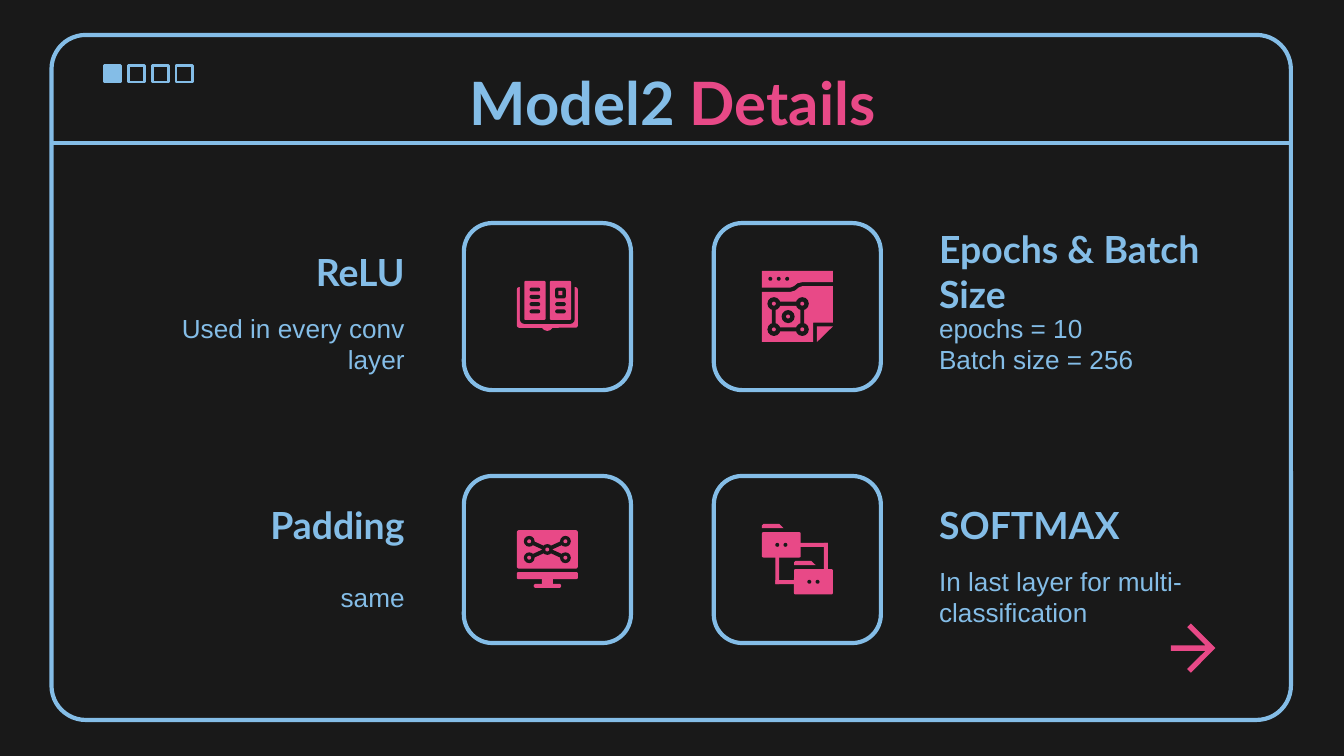
from dataclasses import dataclass
from itertools import product

from lxml.etree import SubElement
from pptx import Presentation
from pptx.dml.color import RGBColor
from pptx.enum.shapes import MSO_CONNECTOR, MSO_SHAPE as Preset
from pptx.enum.text import MSO_ANCHOR as Anchor, MSO_AUTO_SIZE, PP_ALIGN as Align
from pptx.oxml.ns import qn
from pptx.util import Pt


@dataclass(frozen=True)
class Theme:
    dark: RGBColor = RGBColor.from_string("191919")
    blue: RGBColor = RGBColor.from_string("84BDE7")
    pink: RGBColor = RGBColor.from_string("E84987")
    display_font: str = "Lato"
    body_font: str = "Arial"
    title_size: float = 32
    heading_size: float = 20
    body_size: float = 14


THEME = Theme()
TILE = 89.5
TILE_LEFTS = (248.5, 382.4)
TILE_TOPS = (119.5, 255)
TEXT_LEFTS = (68.4, 496)


@dataclass
class Canvas:
    """Draws on a slide, measuring in points from its own left and top."""
    slide: object
    left: float = 0
    top: float = 0

    def place(self, x, y):
        return Pt(self.left + x), Pt(self.top + y)

    def shape(self, preset, x, y, width, height, fill=None, line=0, corner=None):
        shape = self.slide.shapes.add_shape(preset, *self.place(x, y), Pt(width), Pt(height))
        if corner is not None:
            shape.adjustments[0] = corner
        paint(shape, fill, line)

    def bar(self, x, y, width, height, fill=THEME.pink):
        self.shape(Preset.RECTANGLE, x, y, width, height, fill)

    def rounded(self, x, y, width, height, fill=THEME.pink, corner=0.06):
        self.shape(Preset.ROUNDED_RECTANGLE, x, y, width, height, fill, corner=corner)

    def dot(self, center_x, center_y, size, fill=THEME.pink):
        self.shape(Preset.OVAL, center_x - size / 2, center_y - size / 2, size, size, fill)

    def ring(self, center_x, center_y, size):
        self.dot(center_x, center_y, size, THEME.dark)
        self.dot(center_x, center_y, 2.1)

    def outline(self, *points):
        start, *others = [self.place(*point) for point in points]
        builder = self.slide.shapes.build_freeform(*start)
        builder.add_line_segments(others, close=True)
        paint(builder.convert_to_shape(), THEME.pink)

    def line(self, start, end, color, width):
        connector = self.slide.shapes.add_connector(
            MSO_CONNECTOR.STRAIGHT, *self.place(*start), *self.place(*end))
        connector.line.color.rgb = color
        connector.line.width = Pt(width)
        SubElement(connector._element.spPr, qn("a:effectLst"))


def paint(shape, fill=None, line=0):
    shape.shadow.inherit = False
    if fill is None:
        shape.fill.background()
    else:
        shape.fill.solid()
        shape.fill.fore_color.rgb = fill
    if line:
        shape.line.color.rgb = THEME.blue
        shape.line.width = Pt(line)
    else:
        shape.line.fill.background()


def write(shape, paragraphs, size, font, bold=False, align=Align.LEFT, anchor=Anchor.MIDDLE):
    """Fills a shape with paragraphs, each a list of (text, color) runs."""
    frame = shape.text_frame
    frame.word_wrap = True
    frame.auto_size = MSO_AUTO_SIZE.NONE
    frame.vertical_anchor = anchor
    frame.margin_left = frame.margin_right = frame.margin_top = frame.margin_bottom = Pt(7.2)
    for index, runs in enumerate(paragraphs):
        paragraph = frame.add_paragraph() if index else frame.paragraphs[0]
        paragraph.alignment = align
        for text, color in runs:
            run = paragraph.add_run()
            run.text = text
            run.font.size = Pt(size)
            run.font.name = font
            run.font.bold = bold
            run.font.color.rgb = color


def add_title(slide):
    title = slide.shapes.title
    title.left, title.top, title.width, title.height = Pt(56.9), Pt(35.3), Pt(607), Pt(45.4)
    write(title, [[("Model2 ", THEME.blue), ("Details", THEME.pink)]], THEME.title_size,
          THEME.display_font, True, Align.CENTER, Anchor.BOTTOM)


def add_window_frame(canvas):
    canvas.shape(Preset.ROUNDED_RECTANGLE, 27.6, 18.7, 664, 367, line=2.25, corner=0.05)
    canvas.line((27, 76.5), (692.4, 76.5), THEME.blue, 2.25)
    for index in range(4):
        canvas.shape(Preset.RECTANGLE, 56 + 12.75 * index, 35.2, 8.7, 8.7,
                     None if index else THEME.blue, 1.5)


def add_caption(slide, left, top, align, heading, lines):
    box = slide.shapes.add_textbox(Pt(left), Pt(top + 5), Pt(155.5), Pt(41.8))
    write(box, [[(heading, THEME.blue)]], THEME.heading_size, THEME.display_font, True, align)
    box = slide.shapes.add_textbox(Pt(left), Pt(top + 47), Pt(155.5), Pt(35.3))
    write(box, [[(line, THEME.blue)] for line in lines], THEME.body_size, THEME.body_font,
          align=align)


def draw_book(tile):
    tile.rounded(28.4, 34.3, 32.7, 21.8)
    tile.dot(44.75, 54.6, 6.4)
    tile.rounded(30.1, 30, 29.3, 24, THEME.dark, 0.1)
    for page_left, first_line in ((32.4, 0), (46.1, 2)):
        tile.rounded(page_left, 31, 11.4, 20.9)
        for index in range(first_line, 4):
            tile.rounded(page_left + 2.8, 34.6 + 3.9 * index, 5.7, 2.1, THEME.dark, 0.5)
    tile.rounded(48.9, 34.6, 5.7, 5.8, THEME.dark, 0.2)
    tile.bar(50.6, 36.4, 2.2, 2.2)


def draw_blueprint(tile):
    tile.outline((25.8, 25.7), (63.8, 25.7), (63.8, 31.7), (47.5, 31.7), (44.8, 32.3),
                 (43, 33.8), (41, 34.6), (25.8, 34.6))
    for index in range(3):
        tile.dot(30.3 + 4.5 * index, 29.9, 2.1, THEME.dark)
    tile.outline((25.8, 36.9), (41, 36.9), (43.5, 36.2), (45.6, 34.5), (47.5, 33.8),
                 (63.8, 33.8), (63.8, 53.3), (53.2, 53.3), (53.2, 63.7), (25.8, 63.7))
    tile.outline((55.3, 55.4), (63.8, 55.4), (55.3, 63.7))
    tile.bar(31.1, 42.1, 17.4, 16, THEME.dark)
    tile.bar(33.2, 44.3, 13.2, 11.6)
    for center in product((32.2, 47.4), (43.2, 57)):
        tile.ring(*center, 7)
    tile.ring(39.8, 50.1, 7)


def draw_monitor(tile):
    tile.rounded(28.4, 29, 32.7, 20.7)
    tile.rounded(28.4, 51.5, 32.7, 3.7, corner=0.2)
    tile.bar(41.8, 54.5, 5.9, 4)
    tile.rounded(37.4, 57.8, 14.7, 2.2, corner=0.5)
    left, right, upper, lower = 35, 54.4, 35, 43.8
    tile.line((left, upper), (right, lower), THEME.dark, 2.1)
    tile.line((left, lower), (right, upper), THEME.dark, 2.1)
    for center in product((left, right), (upper, lower)):
        tile.ring(*center, 5.8)
    tile.ring((left + right) / 2, (upper + lower) / 2, 5.8)


def draw_folders(tile):
    tile.bar(46, 35.9, 15.1, 2.1)
    tile.bar(59, 35.9, 2.1, 14.5)
    tile.bar(33, 43, 2.1, 15)
    tile.bar(33, 55.8, 11, 2.2)
    for x, y in ((25.8, 25.7), (43, 45.5)):
        tile.outline((x, y + 0.8), (x + 0.8, y), (x + 9.3, y), (x + 11.6, y + 2.3), (x, y + 2.3))
        tile.rounded(x, y + 4.4, 20.8, 13.6)
        for offset in (8.2, 12.6):
            tile.dot(x + offset, y + 11.2, 2.1, THEME.dark)


def add_next_arrow(canvas):
    left, shaft_end, tip, middle = 627.3, 645.8, 651.1, 347.2
    head = [(638, 13.2), (636, 11.2), (shaft_end, 1.5), (left, 1.5)]
    upper = [(x, middle - rise) for x, rise in head]
    lower = [(x, middle + rise) for x, rise in reversed(head)]
    canvas.outline(*upper, *lower, (tip, middle))


def main():
    presentation = Presentation()
    presentation.slide_width, presentation.slide_height = Pt(720), Pt(405)
    slide = presentation.slides.add_slide(presentation.slide_layouts[5])
    slide.background.fill.solid()
    slide.background.fill.fore_color.rgb = THEME.dark
    canvas = Canvas(slide)
    add_window_frame(canvas)
    add_title(slide)
    cards = [
        (draw_book, "ReLU", ["Used in every conv layer"]),
        (draw_blueprint, "Epochs & Batch Size", ["epochs = 10", "Batch size = 256"]),
        (draw_monitor, "Padding", ["same"]),
        (draw_folders, "SOFTMAX", ["In last layer for multi-classification"]),
    ]
    for index, (draw_icon, heading, lines) in enumerate(cards):
        row, column = divmod(index, 2)
        tile = Canvas(slide, TILE_LEFTS[column], TILE_TOPS[row])
        tile.shape(Preset.ROUNDED_RECTANGLE, 0, 0, TILE, TILE, line=2.25, corner=0.17)
        draw_icon(tile)
        align = Align.LEFT if column else Align.RIGHT
        add_caption(slide, TEXT_LEFTS[column], TILE_TOPS[row], align, heading, lines)
    add_next_arrow(canvas)
    presentation.save("out.pptx")


if __name__ == "__main__":
    main()
